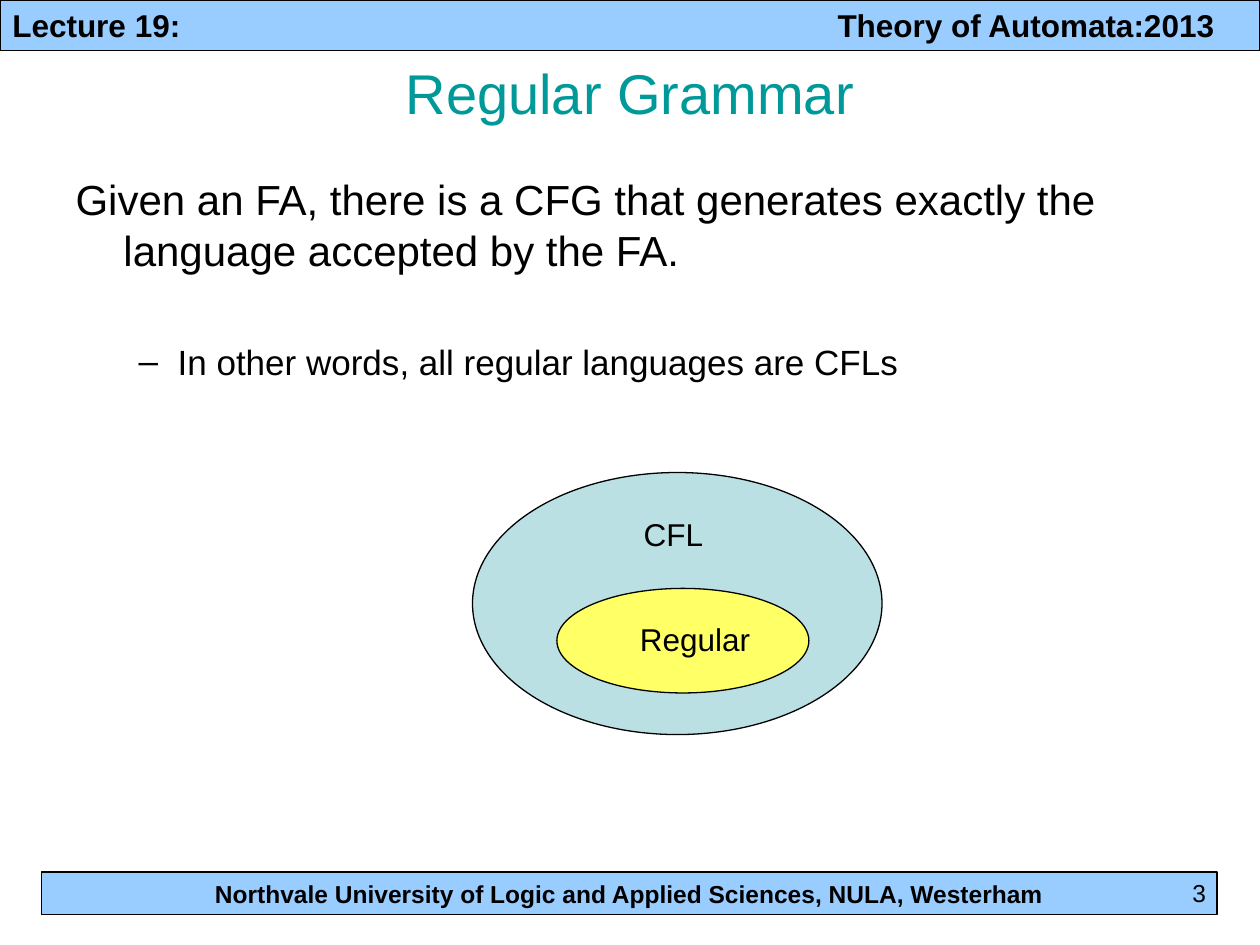
from lxml.etree import SubElement
from pptx import Presentation
from pptx.dml.color import RGBColor
from pptx.enum.shapes import MSO_SHAPE as SHAPE
from pptx.enum.text import MSO_ANCHOR as ANCHOR, MSO_AUTO_SIZE as FIT, PP_ALIGN as ALIGN
from pptx.oxml.ns import qn
from pptx.util import Inches, Pt


def rgb(code):
    """Turn a hex string into a colour."""
    return RGBColor.from_string(code)


def place(item, left, top, width, height):
    """Move and size an element in inches."""
    item.left, item.top = Inches(left), Inches(top)
    item.width, item.height = Inches(width), Inches(height)


def write(paragraph, text, size, color="000000", bold=False, align=ALIGN.LEFT):
    """Fill a paragraph and format its runs."""
    paragraph.text = text
    paragraph.alignment = align
    for run in paragraph.runs:
        run.font.name = "Arial"
        run.font.size = Pt(size)
        run.font.bold = bold
        run.font.color.rgb = rgb(color)


def add_filled(slide, kind, box, color):
    """Add an outlined shape with a flat fill."""
    figure = slide.shapes.add_shape(kind, *map(Inches, box))
    figure.shadow.inherit = False
    figure.fill.solid()
    figure.fill.fore_color.rgb = rgb(color)
    figure.line.color.rgb = rgb("000000")
    figure.line.width = Pt(0.75)
    return figure


def add_band(slide, box, text, size, align):
    """Add a blue band with bold text and return its paragraph."""
    band = add_filled(slide, SHAPE.RECTANGLE, box, "99CCFF")
    band.text_frame.vertical_anchor = ANCHOR.MIDDLE
    line = band.text_frame.paragraphs[0]
    write(line, text, size, bold=True, align=align)
    return line


def add_right_tab(paragraph, position):
    """Set a right-aligned tab stop."""
    stops = SubElement(paragraph._p.get_or_add_pPr(), qn("a:tabLst"))
    SubElement(stops, qn("a:tab"), pos=str(Inches(position)), algn="r")


def add_label(slide, box, text, size, align=ALIGN.LEFT):
    """Add a plain text box."""
    label = slide.shapes.add_textbox(*map(Inches, box))
    label.text_frame.word_wrap = True
    write(label.text_frame.paragraphs[0], text, size, align=align)


def set_indent(paragraph, margin, hanging, bullet=None):
    """Set a hanging indent and a bullet or none."""
    props = paragraph._p.get_or_add_pPr()
    props.set("marL", str(Inches(margin)))
    props.set("indent", str(-Inches(hanging)))
    if bullet:
        SubElement(props, qn("a:buChar"), char=bullet)
    else:
        SubElement(props, qn("a:buNone"))


def fill_title(title):
    """Place and write the slide title."""
    place(title, 0.5, 0.4, 9, 0.67)
    title.text_frame.auto_size = FIT.NONE
    title.text_frame.vertical_anchor = ANCHOR.MIDDLE
    write(title.text_frame.paragraphs[0], "Regular Grammar", 32, "009999", align=ALIGN.CENTER)


def fill_body(body):
    """Place and write the statement and its consequence."""
    place(body, 0.5, 1.33, 9, 5.33)
    body.text_frame.auto_size = FIT.NONE
    statement = body.text_frame.paragraphs[0]
    write(statement, "Given an FA, there is a CFG that generates exactly "
          "the language accepted by the FA.", 24)
    statement.space_before = Pt(5)
    set_indent(statement, 0.38, 0.38)
    consequence = body.text_frame.add_paragraph()
    write(consequence, "In other words, all regular languages are CFLs", 20)
    consequence.level = 1
    consequence.space_before = Pt(37.5)
    set_indent(consequence, 0.81, 0.31, "–")


def main():
    """Build the slide and save it."""
    deck = Presentation()
    deck.slide_width, deck.slide_height = Inches(10), Inches(7.5)
    slide = deck.slides.add_slide(deck.slide_layouts[1])
    header = add_band(slide, (0, 0, 10, 0.4), "Lecture 19:\tTheory of Automata:2013", 18, ALIGN.LEFT)
    add_right_tab(header, 9.54)
    add_band(slide, (0.33, 6.92, 9.33, 0.34),
             "Northvale University of Logic and Applied Sciences, NULA, Westerham",
             14, ALIGN.CENTER)
    add_label(slide, (7.17, 6.92, 2.5, 0.25), "3", 14, ALIGN.RIGHT)
    fill_title(slide.shapes.title)
    fill_body(slide.placeholders[1])
    add_filled(slide, SHAPE.OVAL, (3.75, 3.75, 3.25, 2.08), "BBE0E3")
    add_filled(slide, SHAPE.OVAL, (4.42, 4.67, 2, 0.83), "FFFF66")
    add_label(slide, (5.01, 4.04, 0.95, 0.4), "CFL", 18)
    add_label(slide, (4.98, 4.87, 1.15, 0.4), "Regular", 18)
    deck.save("out.pptx")


main()
